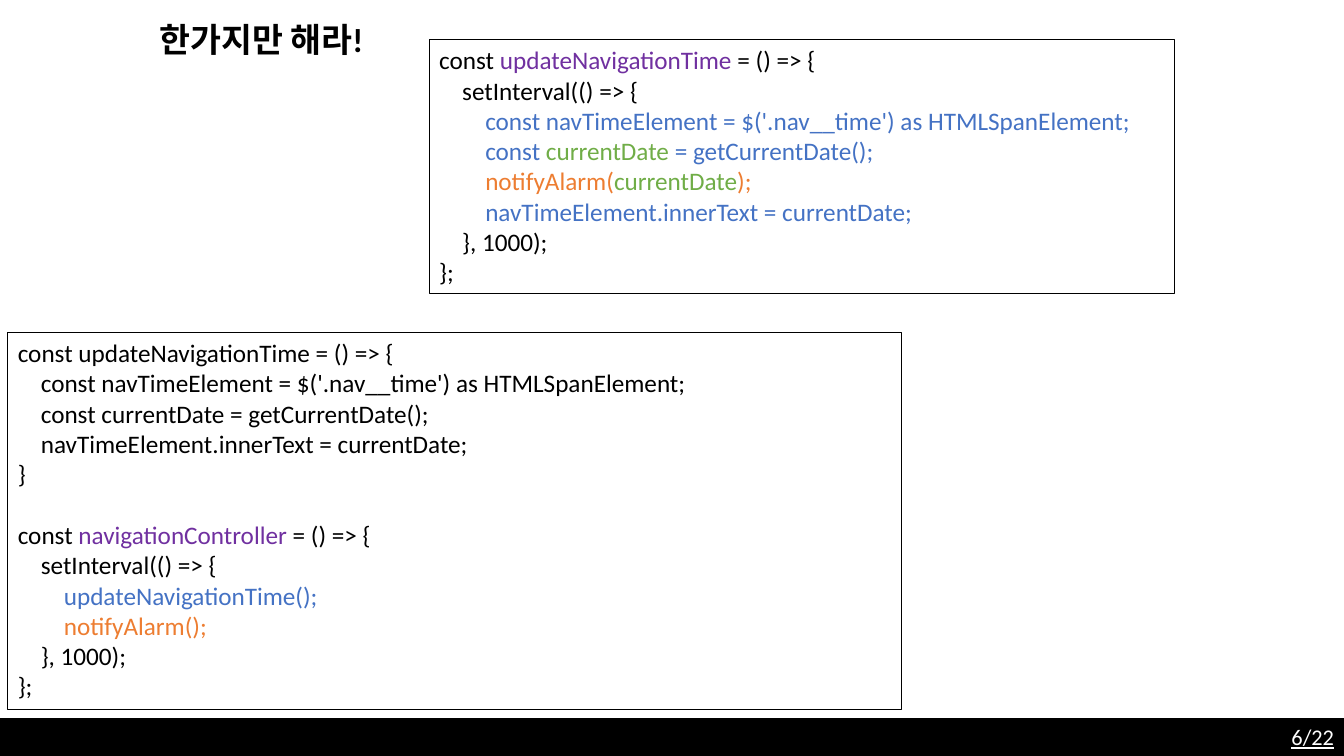
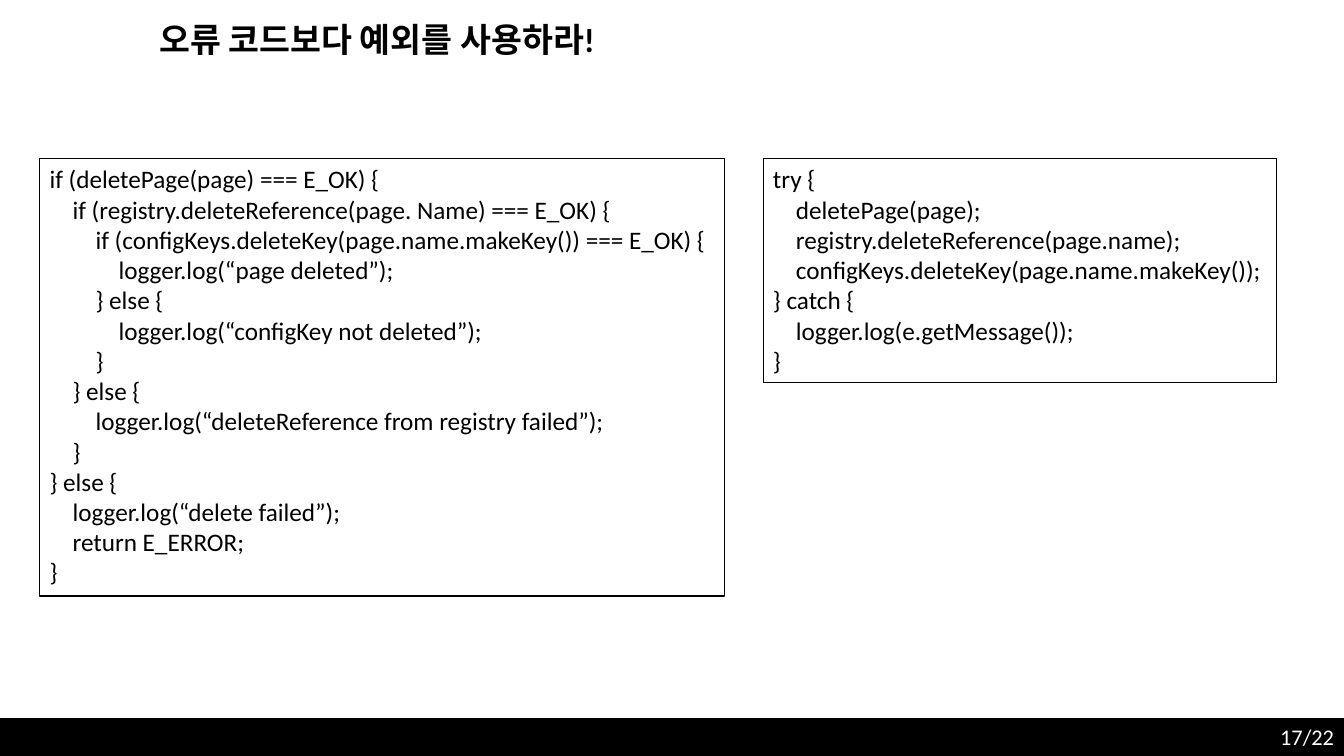
from pptx import Presentation
from pptx.dml.color import RGBColor
from pptx.enum.shapes import MSO_SHAPE
from pptx.enum.text import MSO_ANCHOR, MSO_AUTO_SIZE, PP_ALIGN
from pptx.util import Cm, Pt

BLACK, WHITE = "000000", "FFFFFF"
PURPLE, BLUE, GREEN, ORANGE = "7030A0", "4472C4", "70AD47", "ED7D31"
TITLE_ONLY = 5
PAGE_COUNT = 22


def color(value):
    """Turn a hex string into a colour."""
    return RGBColor.from_string(value)


class CodeDeck:
    """Hold the style of the deck and the slide being filled."""

    font_name = "Calibri"
    width, height = Cm(33.87), Cm(19.05)
    band_top, band_height = Cm(18.1), Cm(0.95)
    indent = Cm(0.58)
    line_height = Pt(22)

    def __init__(self):
        """Start an empty widescreen deck."""
        self.deck = Presentation()
        self.deck.slide_width, self.deck.slide_height = self.width, self.height
        self.page = None

    def style(self, font, size, fill, bold=False, underline=False):
        """Apply the deck's typeface with the given look."""
        font.name, font.size = self.font_name, Pt(size)
        font.bold, font.underline = bold, underline
        font.color.rgb = color(fill)

    def add_page(self, title, number, underline=False):
        """Add a slide with its title, bottom band and page number."""
        self.page = self.deck.slides.add_slide(self.deck.slide_layouts[TITLE_ONLY])
        self.title(title)
        self.band()
        self.page_number(number, underline)

    def title(self, text):
        """Move and format the title placeholder."""
        box = self.page.shapes.title
        box.left, box.top, box.width, box.height = Cm(3.76), Cm(0.36), Cm(14), Cm(1.27)
        frame = box.text_frame
        frame.text = text
        frame.auto_size = MSO_AUTO_SIZE.NONE
        frame.vertical_anchor = MSO_ANCHOR.TOP
        para = frame.paragraphs[0]
        para.alignment = PP_ALIGN.LEFT
        self.style(para.font, 24, BLACK, bold=True)

    def band(self):
        """Draw the black band along the bottom edge."""
        band = self.page.shapes.add_shape(
            MSO_SHAPE.RECTANGLE, 0, self.band_top, self.width, self.band_height)
        band.shadow.inherit = False
        band.fill.solid()
        band.fill.fore_color.rgb = color(BLACK)
        band.line.color.rgb = color(BLACK)
        band.line.width = Pt(1)

    def page_number(self, number, underline):
        """Write the page number at the right end of the band."""
        width = Cm(3)
        box = self.page.shapes.add_textbox(
            self.width - width, self.band_top, width, self.band_height)
        box.text_frame.word_wrap = True
        para = box.text_frame.paragraphs[0]
        para.text = f"{number}/{PAGE_COUNT}"
        para.alignment = PP_ALIGN.RIGHT
        self.style(para.font, 16, WHITE, underline=underline)

    def code(self, left, top, width, height, *blocks):
        """Draw a framed listing whose blocks are one line apart."""
        box = self.page.shapes.add_textbox(Cm(left), Cm(top), Cm(width), Cm(height))
        box.line.color.rgb = color(BLACK)
        box.line.width = Pt(0.75)
        frame = box.text_frame
        frame.word_wrap = True
        para = frame.paragraphs[0]
        for block_index, block in enumerate(blocks):
            for line_index, (level, *spans) in enumerate(block):
                if block_index or line_index:
                    para = frame.add_paragraph()
                if block_index and not line_index:
                    para.space_before = self.line_height
                self.code_line(para, level, spans)

    def code_line(self, para, level, spans):
        """Fill a paragraph with plain strings and (text, colour) pairs."""
        self.style(para.font, 18, BLACK)
        properties = para._p.get_or_add_pPr()
        properties.set("marL", str(level * self.indent))
        properties.set("indent", "0")
        for item in spans:
            text, fill = (item, None) if isinstance(item, str) else item
            span = para.add_run()
            span.text = text
            if fill:
                span.font.color.rgb = color(fill)

    def save(self):
        """Write the deck."""
        self.deck.save("out.pptx")


def one_thing_page(deck):
    """Show a function split so that each part does one thing."""
    deck.add_page("한가지만 해라!", 6, underline=True)
    deck.code(0.2, 8.38, 22.53, 9.5, [
        (0, "const updateNavigationTime = () => {"),
        (1, "const navTimeElement = $('.nav__time') as HTMLSpanElement;"),
        (1, "const currentDate = getCurrentDate();"),
        (1, "navTimeElement.innerText = currentDate;"),
        (0, "}"),
    ], [
        (0, "const ", ("navigationController", PURPLE), " = () => {"),
        (1, "setInterval(() => {"),
        (2, ("updateNavigationTime();", BLUE)),
        (2, ("notifyAlarm();", ORANGE)),
        (1, "}, 1000);"),
        (0, "};"),
    ])
    deck.code(10.82, 1, 18.77, 6.4, [
        (0, "const ", ("updateNavigationTime", PURPLE), " = () => {"),
        (1, "setInterval(() => {"),
        (2, ("const navTimeElement = $('.nav__time') as HTMLSpanElement;", BLUE)),
        (2, ("const ", BLUE), ("currentDate", GREEN), (" = getCurrentDate();", BLUE)),
        (2, ("notifyAlarm(", ORANGE), ("currentDate", GREEN), (");", ORANGE)),
        (2, ("navTimeElement.innerText = currentDate;", BLUE)),
        (1, "}, 1000);"),
        (0, "};"),
    ])


def exceptions_page(deck):
    """Compare error codes with exceptions."""
    deck.add_page("오류 코드보다 예외를 사용하라!", 17)
    deck.code(1, 4, 17.25, 11.02, [
        (0, "if (deletePage(page) === E_OK) {"),
        (1, "if (registry.deleteReference(page. Name) === E_OK) {"),
        (2, "if (configKeys.deleteKey(page.name.makeKey()) === E_OK) {"),
        (3, "logger.log(“page deleted”);"),
        (2, "} else {"),
        (3, "logger.log(“configKey not deleted”);"),
        (2, "}"),
        (1, "} else {"),
        (2, "logger.log(“deleteReference from registry failed”);"),
        (1, "}"),
        (0, "} else {"),
        (1, "logger.log(“delete failed”);"),
        (1, "return E_ERROR;"),
        (0, "}"),
    ])
    deck.code(19.23, 4, 12.95, 5.64, [
        (0, "try {"),
        (1, "deletePage(page);"),
        (1, "registry.deleteReference(page.name);"),
        (1, "configKeys.deleteKey(page.name.makeKey());"),
        (0, "} catch {"),
        (1, "logger.log(e.getMessage());"),
        (0, "}"),
    ])


def main():
    """Build and save the deck."""
    deck = CodeDeck()
    one_thing_page(deck)
    exceptions_page(deck)
    deck.save()


if __name__ == "__main__":
    main()
